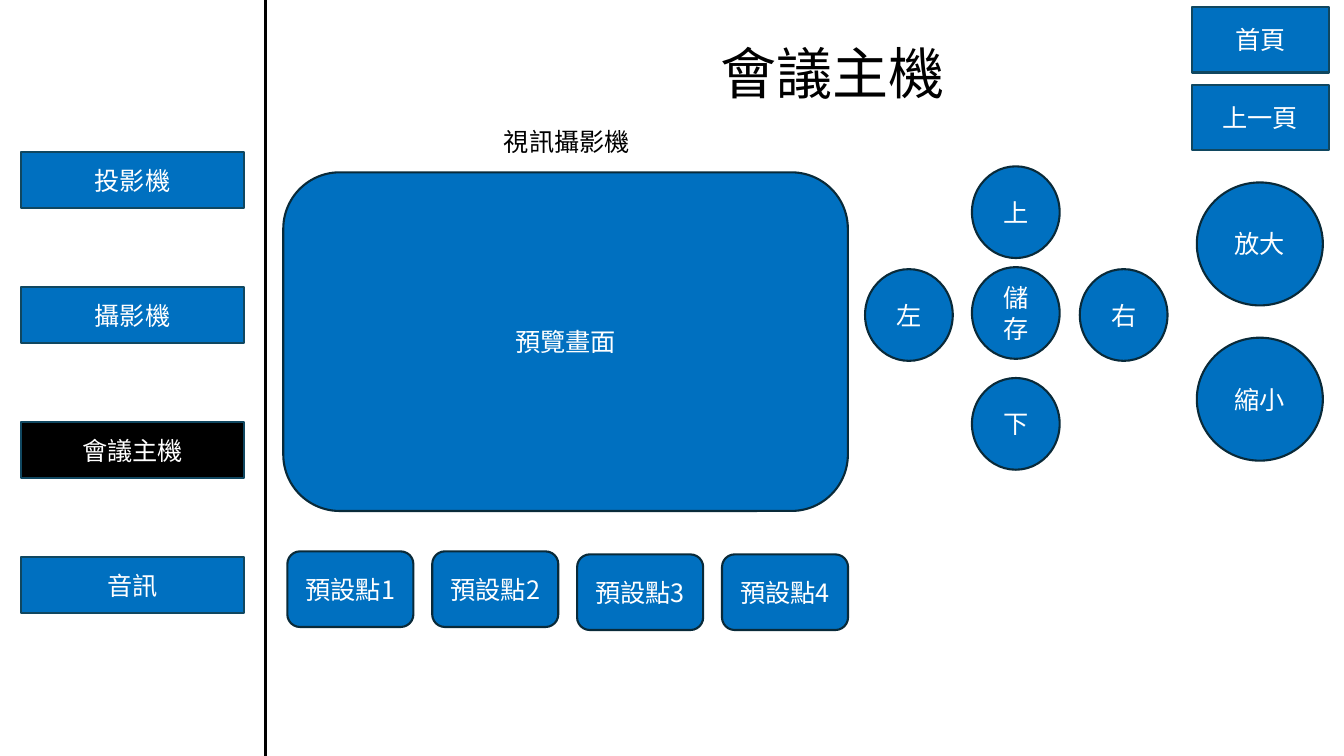
from lxml import etree
from pptx import Presentation
from pptx import util as u
from pptx.dml.color import RGBColor
from pptx.enum import shapes, text
from pptx.oxml import ns

FONT = "Noto Sans CJK SC"
COLORS = {
    "blue": "0070C0",
    "black": "000000",
    "white": "FFFFFF",
    "teal": "104760",
    "navy": "092A39",
}
SHAPE = shapes.MSO_SHAPE


def color(name):
    """Return the named colour."""
    return RGBColor.from_string(COLORS[name])


def write(frame, words, size=18, ink="white", align=text.PP_ALIGN.CENTER):
    """Write one formatted paragraph into a text frame."""
    frame.word_wrap = True
    paragraph = frame.paragraphs[0]
    paragraph.text = words
    paragraph.alignment = align
    for run in paragraph.runs:
        run.font.size = u.Pt(size)
        run.font.name = FONT
        run.font.color.rgb = color(ink)
        etree.SubElement(run.font._element, ns.qn("a:ea"), typeface=FONT)


def add_label(slide, box, words, **style):
    """Add a text box that grows with its text."""
    label = slide.shapes.add_textbox(*map(u.Inches, box))
    label.text_frame.auto_size = text.MSO_AUTO_SIZE.SHAPE_TO_FIT_TEXT
    write(label.text_frame, words, **style)


def add_button(slide, kind, box, words, fill="blue", edge="navy"):
    """Add a filled control with a centred caption."""
    button = slide.shapes.add_shape(kind, *map(u.Inches, box))
    button.shadow.inherit = False
    button.fill.solid()
    button.fill.fore_color.rgb = color(fill)
    button.line.color.rgb = color(edge)
    button.line.width = u.Pt(1.5)
    button.text_frame.vertical_anchor = text.MSO_ANCHOR.MIDDLE
    write(button.text_frame, words)


def add_divider(slide, x, height):
    """Add the vertical line beside the menu."""
    divider = slide.shapes.add_connector(
        shapes.MSO_CONNECTOR.STRAIGHT, u.Inches(x), 0, u.Inches(x), height)
    divider.line.color.rgb = color("black")
    divider.line.width = u.Pt(2)
    etree.SubElement(divider._element.spPr, ns.qn("a:effectLst"))


def main():
    """Build the conference host control panel."""
    deck = Presentation()
    deck.slide_width = u.Inches(13.33)
    deck.slide_height = u.Inches(7.5)
    slide = deck.slides.add_slide(deck.slide_layouts[6])

    add_divider(slide, 2.63, deck.slide_height)
    add_label(slide, (6.6, 0.33, 3.31, 0.77), "會議主機", size=40, ink="black")
    add_label(slide, (4.9, 1.2, 1.65, 0.4), "視訊攝影機", ink="black",
              align=text.PP_ALIGN.LEFT)

    current = "會議主機"
    for row, device in enumerate(("投影機", "攝影機", current, "音訊")):
        add_button(slide, SHAPE.RECTANGLE, (0.21, 1.51 + 1.34 * row, 2.21, 0.55),
                   device, fill="black" if device == current else "blue",
                   edge="teal")

    for row, target in enumerate(("首頁", "上一頁")):
        add_button(slide, SHAPE.RECTANGLE, (11.82, 0.07 + 0.77 * row, 1.36, 0.65),
                   target, edge="teal")

    add_button(slide, SHAPE.ROUNDED_RECTANGLE, (2.81, 1.71, 5.6, 3.36), "預覽畫面")
    for column, top in enumerate((5.47, 5.47, 5.5, 5.5)):
        add_button(slide, SHAPE.ROUNDED_RECTANGLE,
                   (2.85 + 1.437 * column, top, 1.25, 0.75), f"預設點{column + 1}")

    directions = (("上", 9.64, 1.65), ("儲\v存", 9.64, 2.65), ("右", 10.71, 2.67),
                  ("左", 8.58, 2.67), ("下", 9.64, 3.75))
    for direction, left, top in directions:
        add_button(slide, SHAPE.OVAL, (left, top, 0.87, 0.91), direction)

    for row, zoom in enumerate(("放大", "縮小")):
        add_button(slide, SHAPE.OVAL, (11.87, 1.81 + 1.54 * row, 1.25, 1.22), zoom)

    deck.save("out.pptx")


if __name__ == "__main__":
    main()
